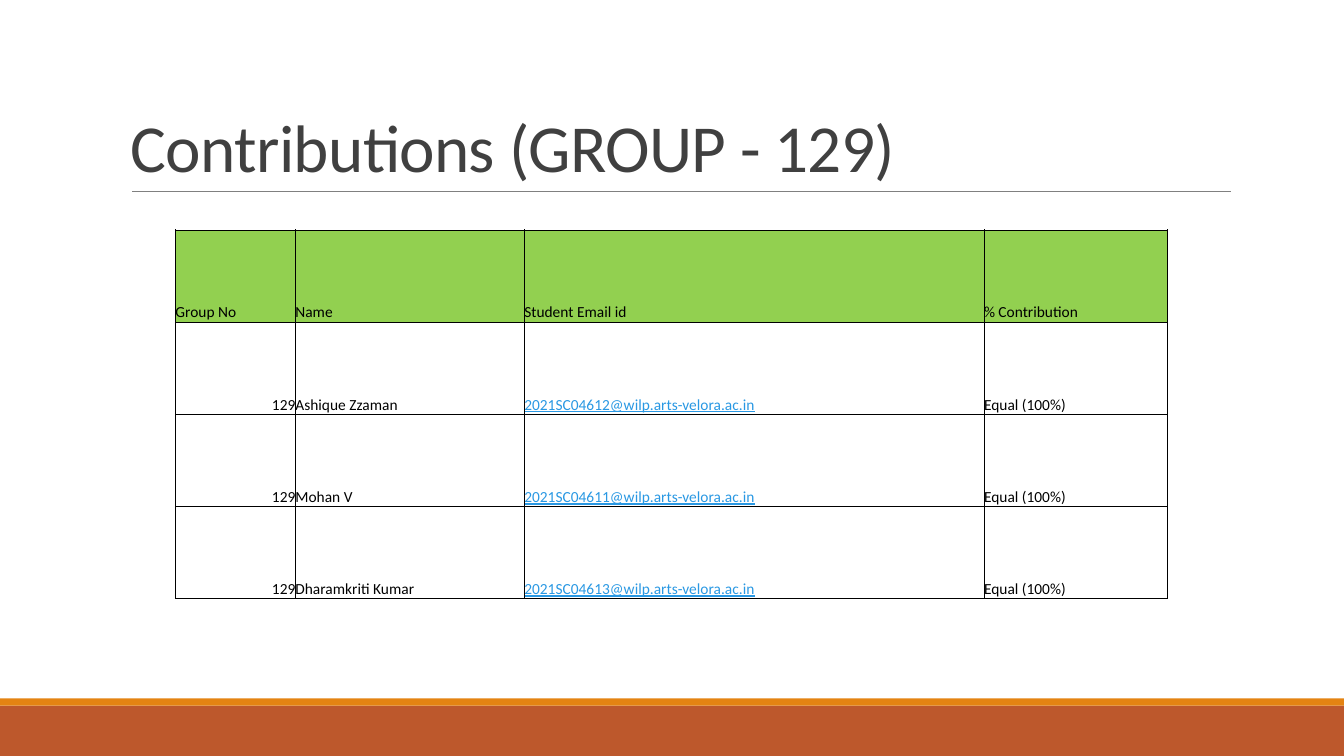
from dataclasses import dataclass

from lxml.etree import SubElement
from pptx import Presentation
from pptx.dml.color import RGBColor
from pptx.enum.shapes import MSO_CONNECTOR as Link, MSO_SHAPE as Kind
from pptx.enum.text import MSO_ANCHOR as Anchor, PP_ALIGN as Align
from pptx.oxml import parse_xml
from pptx.oxml.ns import nsdecls, qn
from pptx.slide import Slide
from pptx.table import _Cell as Cell
from pptx.util import Inches, Pt

RUST = RGBColor(0xBD, 0x58, 0x2C)
ORANGE = RGBColor(0xE4, 0x83, 0x12)
GRAY = RGBColor(0x80, 0x80, 0x80)
DARK = RGBColor(0x40, 0x40, 0x40)
BLACK = RGBColor(0, 0, 0)
WHITE = RGBColor(0xFF, 0xFF, 0xFF)
GREEN = RGBColor(0x92, 0xD0, 0x50)
BLUE = RGBColor(0x29, 0x98, 0xE3)
FONT = "Calibri"
WIDE, HIGH = 13.33, 7.5


@dataclass(frozen=True)
class Band:
    top: float
    height: float
    color: RGBColor


@dataclass(frozen=True)
class Member:
    name: str
    code: str

    def texts(self) -> list[str]:
        mail = f"{self.code}@wilp.arts-velora.ac.in"
        return ["129", self.name, mail, "Equal (100%)"]


BANDS = [Band(7, 0.5, RUST), Band(6.93, 0.07, ORANGE)]
HEADS = ["Group No", "Name", "Student Email id", "% Contribution"]
WIDTHS = [1.19, 2.27, 4.56, 1.82]
MEMBERS = [
    Member("Ashique Zzaman", "2021SC04612"),
    Member("Mohan V", "2021SC04611"),
    Member("Dharamkriti Kumar", "2021SC04613"),
]


def add_band(slide: Slide, band: Band) -> None:
    shape = slide.shapes.add_shape(
        Kind.RECTANGLE, 0, Inches(band.top), Inches(WIDE), Inches(band.height)
    )
    shape.shadow.inherit = False
    shape.fill.solid()
    shape.fill.fore_color.rgb = band.color
    shape.line.fill.background()


def add_rule(slide: Slide) -> None:
    rule = slide.shapes.add_connector(
        Link.STRAIGHT, Inches(1.31), Inches(1.9), Inches(12.21), Inches(1.9)
    )
    rule.line.color.rgb = GRAY
    rule.line.width = Pt(0.5)
    SubElement(rule._element.spPr, qn("a:effectLst"))


def add_title(slide: Slide, text: str) -> None:
    box = slide.shapes.add_textbox(Inches(1.2), Inches(0.31), Inches(11), Inches(1.59))
    frame = box.text_frame
    frame.word_wrap = True
    frame.vertical_anchor = Anchor.BOTTOM
    para = frame.paragraphs[0]
    para.line_spacing = 0.85
    para.font.name = FONT
    para.font.size = Pt(48)
    para.font.color.rgb = DARK
    run = para.add_run()
    run.text = text
    run._r.get_or_add_rPr().set("spc", "-50")


def add_edges(cell: Cell) -> None:
    props = cell._tc.get_or_add_tcPr()
    for side in ("lnL", "lnR", "lnT", "lnB"):
        props.append(parse_xml(
            f'<a:{side} {nsdecls("a")} w="{Pt(0.5)}"><a:solidFill>'
            f'<a:srgbClr val="{BLACK}"/></a:solidFill></a:{side}>'
        ))


def fill_cell(cell: Cell, text: str, color: RGBColor) -> None:
    add_edges(cell)
    cell.fill.solid()
    cell.fill.fore_color.rgb = color
    cell.margin_left = cell.margin_right = cell.margin_top = cell.margin_bottom = 0
    cell.vertical_anchor = Anchor.BOTTOM
    cell.text = text
    para = cell.text_frame.paragraphs[0]
    para.alignment = Align.RIGHT if text.isdigit() else Align.LEFT
    para.font.name = FONT
    para.font.size = Pt(11)
    is_mail = "@" in text
    para.font.color.rgb = BLUE if is_mail else BLACK
    para.font.underline = is_mail


def add_grid(slide: Slide) -> None:
    rows = [HEADS] + [member.texts() for member in MEMBERS]
    table = slide.shapes.add_table(
        len(rows), len(WIDTHS), Inches(1.74), Inches(2.28),
        Inches(sum(WIDTHS)), Inches(3.66),
    ).table
    table.first_row = table.horz_banding = False
    for col, width in zip(table.columns, WIDTHS):
        col.width = Inches(width)
    for i, row in enumerate(rows):
        for j, text in enumerate(row):
            fill_cell(table.cell(i, j), text, WHITE if i else GREEN)


def main() -> None:
    deck = Presentation()
    deck.slide_width, deck.slide_height = Inches(WIDE), Inches(HIGH)
    slide = deck.slides.add_slide(deck.slide_layouts[6])
    for band in BANDS:
        add_band(slide, band)
    add_rule(slide)
    add_title(slide, "Contributions (GROUP - 129)")
    add_grid(slide)
    deck.save("out.pptx")


if __name__ == "__main__":
    main()
